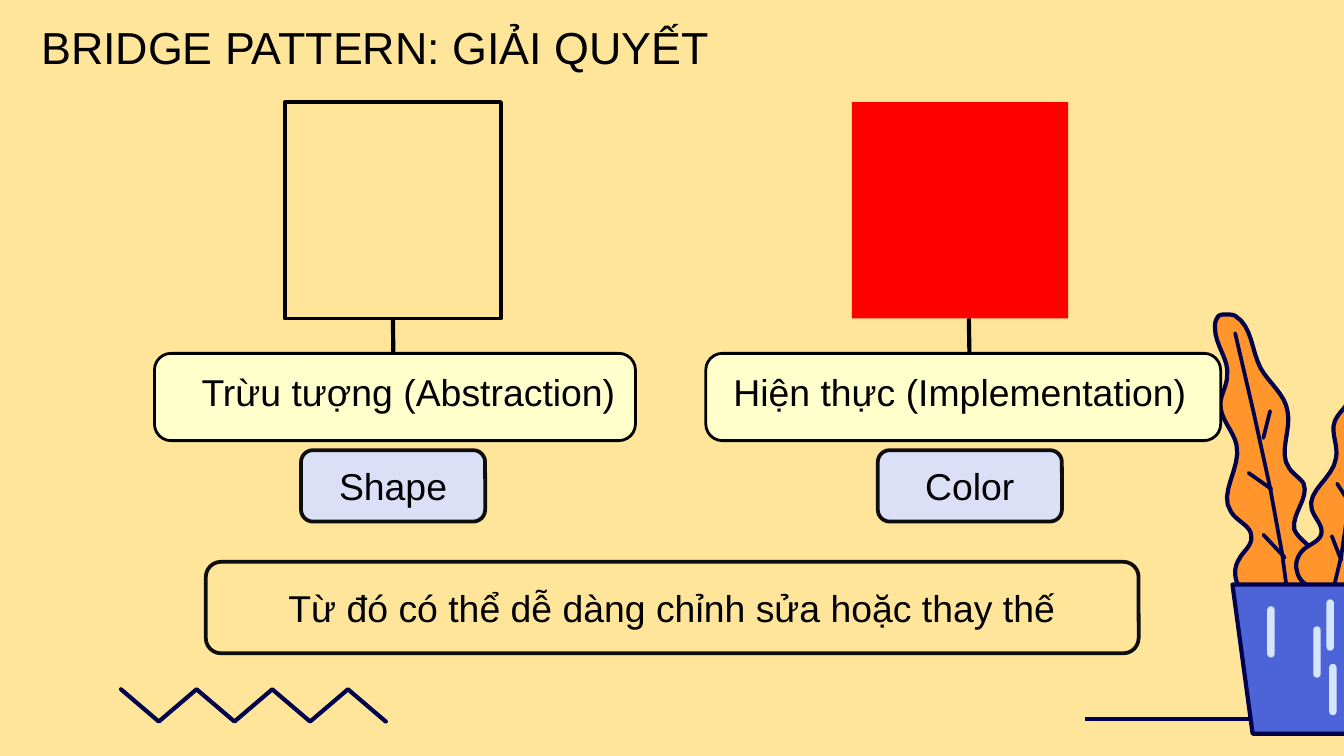
from lxml.etree import SubElement
from pptx import Presentation
from pptx.dml.color import RGBColor
from pptx.enum.shapes import MSO_CONNECTOR, MSO_SHAPE
from pptx.enum.text import MSO_ANCHOR, PP_ALIGN
from pptx.oxml.ns import qn
from pptx.util import Cm, Pt

NAVY, ORANGE, BLUE, SHINE = "00004D", "FF952B", "4C64D8", "D5E6FC"
BLACK, INK, SAND = "000000", "0D0D0D", "FFE599"
CREAM, LAVENDER, RED = "FFFFCC", "DBE0F7", "FF0000"
GRID = Cm(0.0254)  # drawing unit of the plant and the zigzag

# Leaf outlines: a start point, then two control points and an end per curve
LEFT_LEAF = [
    (912, 234), (910, 234), (907, 234), (906, 236), (904, 239), (904, 241), (904, 244),
    (904, 257), (915, 268), (913, 280), (913, 287), (908, 294), (908, 301),
    (908, 312), (918, 321), (920, 331), (924, 348), (906, 367), (916, 381),
    (920, 388), (931, 391), (931, 399), (932, 406), (925, 410), (922, 416),
    (918, 422), (918, 430), (922, 437), (926, 442), (933, 446), (939, 446),
    (947, 446), (955, 445), (963, 444), (978, 443), (988, 422), (978, 411),
    (974, 405), (966, 401), (963, 394), (961, 382), (974, 371), (970, 360),
    (968, 356), (962, 353), (959, 348), (951, 337), (961, 320), (958, 306),
    (956, 293), (944, 285), (938, 274), (931, 261), (932, 243), (919, 235),
    (917, 234), (915, 234), (912, 234),
]
RIGHT_LEAF = [
    (1013, 262), (1012, 262), (1011, 262), (1010, 262), (1008, 263), (1007, 265), (1006, 268),
    (1003, 278), (1008, 289), (1003, 299), (1001, 304), (995, 308), (993, 314),
    (990, 322), (996, 332), (994, 341), (992, 356), (972, 365), (976, 379),
    (978, 386), (985, 391), (983, 398), (981, 403), (975, 405), (971, 408),
    (966, 412), (963, 419), (965, 425), (966, 431), (971, 436), (977, 437),
    (983, 439), (990, 440), (996, 442), (997, 443), (998, 443), (1000, 443),
    (1010, 443), (1020, 431), (1017, 420), (1015, 415), (1010, 409), (1010, 403),
    (1011, 393), (1025, 388), (1024, 378), (1024, 374), (1021, 370), (1020, 366),
    (1016, 354), (1029, 344), (1031, 332), (1033, 321), (1026, 312), (1025, 301),
    (1023, 289), (1029, 274), (1021, 265), (1019, 263), (1016, 262), (1013, 262),
]
LEFT_VEINS = [
    [(919, 248), (933, 308), (945, 363), (954, 412), (957, 435)],
    [(929, 352), (946, 364)],
    [(940, 398), (956, 415)],
    [(945, 306), (940, 326)],
]
RIGHT_VEINS = [
    [(1017, 275), (1012, 323), (1004, 373), (998, 414), (993, 435)],
    [(995, 360), (1004, 374)],
    [(991, 399), (998, 417)],
]
POT = [(917, 435), (932, 546), (1009, 546), (1019, 435)]


def color(value):
    return RGBColor.from_string(value)


def paint(shape, fill=None, line=None, width=0):
    shape.shadow.inherit = False
    if fill:
        shape.fill.solid()
        shape.fill.fore_color.rgb = color(fill)
    else:
        shape.fill.background()
    if line:
        shape.line.color.rgb = color(line)
        shape.line.width = Pt(width)
    else:
        shape.line.fill.background()


def write(shape, text, size=20, align=PP_ALIGN.LEFT):
    frame = shape.text_frame
    frame.word_wrap = True
    para = frame.paragraphs[0]
    para.text = text
    para.alignment = align
    para.font.size = Pt(size)
    para.font.name = "Arial"
    para.font.color.rgb = color(BLACK)
    return frame


def add_box(page, kind, left, top, width, height, fill=None, line=None, weight=2):
    box = page.shapes.add_shape(kind, Cm(left), Cm(top), Cm(width), Cm(height))
    paint(box, fill, line, weight)
    return box


def add_label(page, left, top, width, height, text, fill):
    """Rounded box with centred text."""
    box = add_box(page, MSO_SHAPE.ROUNDED_RECTANGLE, left, top, width, height, fill, INK)
    write(box, text, align=PP_ALIGN.CENTER).vertical_anchor = MSO_ANCHOR.MIDDLE


def add_text(page, left, top, width, height, text, **style):
    box = page.shapes.add_textbox(Cm(left), Cm(top), Cm(width), Cm(height))
    return write(box, text, **style)


def add_line(page, x1, y1, x2, y2, stroke):
    line = page.shapes.add_connector(MSO_CONNECTOR.STRAIGHT, Cm(x1), Cm(y1), Cm(x2), Cm(y2))
    line.line.color.rgb = color(stroke)
    line.line.width = Pt(2.25)
    SubElement(line._element.spPr, qn("a:effectLst"))
    return line


def flatten(points, steps=8):
    """Turn a chain of cubic curves into a dense list of points."""
    dense = [points[0]]
    for i in range(0, len(points) - 1, 3):
        corners = list(zip(*points[i:i + 4]))
        for step in range(1, steps + 1):
            t = step / steps
            u = 1 - t
            weights = (u**3, 3 * u * u * t, 3 * u * t * t, t**3)
            dense.append(tuple(sum(w * c for w, c in zip(weights, axis)) for axis in corners))
    return dense


def add_drawing(page, strokes, line, width, fill=None):
    """Freeform of one or more strokes with round ends; closed when filled."""
    scaled = [[(x * GRID, y * GRID) for x, y in stroke] for stroke in strokes]
    builder = page.shapes.build_freeform(*scaled[0][0])
    for stroke in scaled:
        if stroke is not scaled[0]:
            builder.move_to(*stroke[0])
        builder.add_line_segments(stroke[1:], close=bool(fill))
    drawing = builder.convert_to_shape()
    paint(drawing, fill, line, width)
    outline = drawing._element.spPr.find(qn("a:ln"))
    outline.set("cap", "rnd")
    SubElement(outline, qn("a:round"))


def add_plant(page):
    for leaf, veins in ((LEFT_LEAF, LEFT_VEINS), (RIGHT_LEAF, RIGHT_VEINS)):
        add_drawing(page, [flatten(leaf)], NAVY, 2.25, ORANGE)
        add_drawing(page, veins, NAVY, 2)
    add_drawing(page, [POT], NAVY, 2.25, BLUE)
    for left, top in ((23.95, 11.46), (25.07, 11.33), (24.82, 11.84), (25.12, 12.55)):
        shine = add_box(page, MSO_SHAPE.ROUNDED_RECTANGLE, left, top, 0.14, 0.97, SHINE)
        shine.adjustments[0] = 0.5


def add_side(page, square, stem, box, text_span, title, example):
    """Square, stem, heading box and example label of one half of the bridge."""
    square_left, fill, line = square
    shape = add_box(page, MSO_SHAPE.RECTANGLE, square_left, 1.93, 4.09, 4.09, fill, line)
    connector = add_line(page, stem, 6.02, stem + 0.02, 7.14, BLACK)
    if abs(stem - square_left - 4.09 / 2) < 0.05:
        connector.begin_connect(shape, 2)
    heading = add_box(page, MSO_SHAPE.ROUNDED_RECTANGLE, box[0], 6.68, box[1], 1.65,
                      CREAM, BLACK, 1.5)
    heading.adjustments[0] = 0.19
    add_text(page, text_span[0], 6.86, text_span[1], 1.12, title)
    add_label(page, example[0], 8.51, 3.48, 1.35, example[1], LAVENDER)


def main():
    deck = Presentation()
    deck.slide_width, deck.slide_height = Cm(25.4), Cm(14.29)
    page = deck.slides.add_slide(deck.slide_layouts[6])
    page.background.fill.solid()
    page.background.fill.fore_color.rgb = color(SAND)

    add_plant(page)
    zigzag = [(90 + 28.15 * i, 537 if i % 2 else 513) for i in range(8)]
    add_drawing(page, [zigzag], NAVY, 2.25)
    add_line(page, 23.65, 13.59, 20.5, 13.59, NAVY)

    title = add_text(page, 0, 0.13, 13.87, 1.96, "BRIDGE PATTERN: GIẢI QUYẾT",
                     size=24, align=PP_ALIGN.CENTER)
    title.margin_left = Cm(0.56)
    title.margin_top = title.margin_right = title.margin_bottom = Cm(0.25)

    add_side(page, (5.38, None, BLACK), 7.42, (2.92, 9.09), (3.56, 8.46),
             "Trừu tượng (Abstraction)", (5.69, "Shape"))
    add_side(page, (16.1, RED, None), 18.31, (13.34, 9.73), (13.61, 9.45),
             "Hiện thực (Implementation)", (16.59, "Color"))
    add_label(page, 3.89, 10.62, 17.63, 1.73,
              "Từ đó có thể dễ dàng chỉnh sửa hoặc thay thế", SAND)

    deck.save("out.pptx")


if __name__ == "__main__":
    main()
